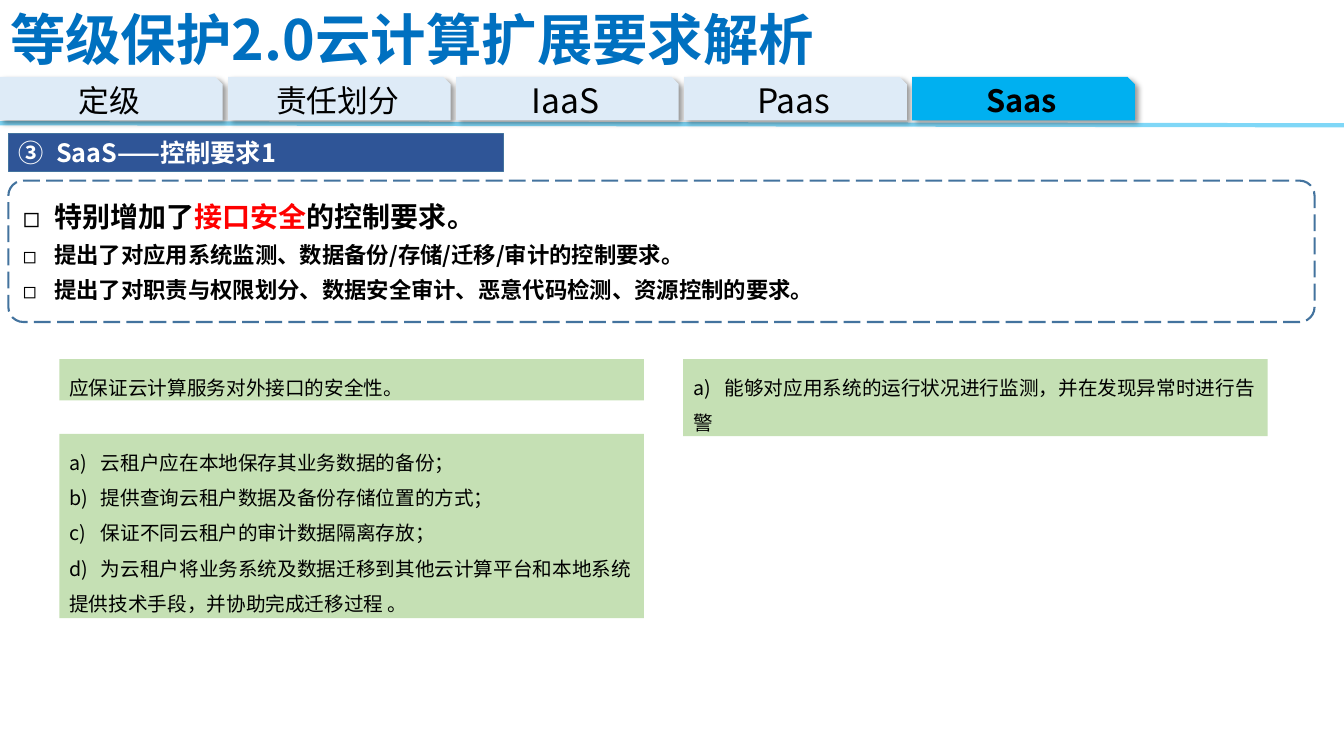
from lxml.etree import SubElement
from pptx import Presentation
from pptx.dml.color import RGBColor
from pptx.enum.shapes import MSO_CONNECTOR, MSO_SHAPE
from pptx.enum.dml import MSO_LINE
from pptx.enum.text import MSO_ANCHOR, MSO_AUTO_SIZE, PP_ALIGN
from pptx.oxml import parse_xml
from pptx.oxml.ns import nsdecls, qn
from pptx.util import Pt

FONT = "Noto Sans CJK SC"
COLORS = {"title": "0070C0", "tab": "DEEBF7", "active": "00B0F0", "heading": "2F5597",
          "outline": "43739E", "card": "C5E0B4", "text": "000000", "accent": "FF0000",
          "white": "FFFFFF"}


def add_run(p, text, size, color="text", bold=False):
    r = p.add_run()
    r.text = text
    r.font.size, r.font.bold, r.font.name = Pt(size), bold, FONT
    r.font.color.rgb = RGBColor.from_string(COLORS[color])
    SubElement(r.font._element, qn("a:ea")).set("typeface", FONT)


def add_box(kind, left, top, width, height, fill):
    """Add a filled shape without outline or shadow."""
    sp = s.shapes.add_shape(kind, Pt(left), Pt(top), Pt(width), Pt(height))
    sp.shadow.inherit = False
    sp.fill.solid()
    sp.fill.fore_color.rgb = RGBColor.from_string(COLORS[fill])
    sp.line.fill.background()
    sp.text_frame.word_wrap = True
    return sp


prs = Presentation()
prs.slide_width, prs.slide_height = Pt(960), Pt(540)
s = prs.slides.add_slide(prs.slide_layouts[1])
title, body = s.placeholders

# Rule under the tabs
rule = s.shapes.add_connector(MSO_CONNECTOR.STRAIGHT, 0, Pt(88), Pt(960), Pt(89.5))
rule.line.width = Pt(3)
rule.line.color.rgb = RGBColor.from_string(COLORS["active"])
SubElement(rule.line._ln.find(".//" + qn("a:srgbClr")), qn("a:alpha")).set("val", "50000")
SubElement(rule._element.spPr, qn("a:effectLst"))

# Title
title.left, title.top, title.width, title.height = 0, Pt(0.7), Pt(620), Pt(54)
tf = title.text_frame
tf.auto_size, tf.vertical_anchor = MSO_AUTO_SIZE.NONE, MSO_ANCHOR.MIDDLE
p = tf.paragraphs[0]
p.alignment = PP_ALIGN.JUSTIFY
add_run(p, "等级保护2.0云计算扩展要求解析", 39.6, "title", True)

# Tabs
tabs = [("定级", 22), ("责任划分", 22), ("IaaS", 24), ("Paas", 24), ("Saas", 22)]
for i, (label, size) in enumerate(tabs):
    active = label == "Saas"
    sp = add_box(MSO_SHAPE.SNIP_1_RECTANGLE, i * 162.9, 55, 159, 31,
                 "active" if active else "tab")
    sp._element.spPr.find(qn("a:effectLst")).append(parse_xml(
        f'<a:outerShdw {nsdecls("a")} blurRad="50800" dist="38100" dir="2700000" '
        'algn="tl" rotWithShape="0"><a:srgbClr val="000000"><a:alpha val="40000"/>'
        '</a:srgbClr></a:outerShdw>'))
    sp.text_frame.vertical_anchor = MSO_ANCHOR.MIDDLE
    p = sp.text_frame.paragraphs[0]
    p.alignment = PP_ALIGN.CENTER
    add_run(p, label, size, bold=active)

# Section heading
sp = add_box(MSO_SHAPE.RECTANGLE, 6, 95.5, 353.5, 27, "heading")
sp.line.color.rgb = RGBColor.from_string(COLORS["outline"])
sp.line.width = Pt(1)
sp.text_frame.vertical_anchor = MSO_ANCHOR.MIDDLE
p = sp.text_frame.paragraphs[0]
p.alignment = PP_ALIGN.JUSTIFY
pPr = p._p.get_or_add_pPr()
pPr.set("marL", str(Pt(27)))
pPr.set("indent", str(Pt(-27)))
number = SubElement(pPr, qn("a:buAutoNum"))
number.set("type", "circleNumDbPlain")
number.set("startAt", "3")
add_run(p, "SaaS——控制要求1", 18, "white", True)

# Key points in a dashed frame
body.left, body.top, body.width, body.height = Pt(6), Pt(129), Pt(933), Pt(101)
body._element.spPr.append(parse_xml(
    f'<a:prstGeom {nsdecls("a")} prst="roundRect"><a:avLst>'
    '<a:gd name="adj" fmla="val 10600"/></a:avLst></a:prstGeom>'))
body.line.color.rgb = RGBColor.from_string(COLORS["outline"])
body.line.width = Pt(1.5)
body.line.dash_style = MSO_LINE.LONG_DASH
tf = body.text_frame
tf.auto_size, tf.vertical_anchor = MSO_AUTO_SIZE.NONE, MSO_ANCHOR.MIDDLE
points = [
    (20, [("特别增加了", "text"), ("接口安全", "accent"), ("的控制要求。", "text")]),
    (16, [("提出了对应用系统监测、数据备份/存储/迁移/审计的控制要求。", "text")]),
    (16, [("提出了对职责与权限划分、数据安全审计、恶意代码检测、资源控制的要求。", "text")]),
]
for i, (size, runs) in enumerate(points):
    p = tf.add_paragraph() if i else tf.paragraphs[0]
    pPr = p._p.get_or_add_pPr()
    pPr.set("marL", str(Pt(22.5)))
    pPr.set("indent", str(Pt(-22.5)))
    SubElement(pPr, qn("a:buFont")).set("typeface", FONT)
    SubElement(pPr, qn("a:buChar")).set("char", "◻")
    p.alignment = PP_ALIGN.JUSTIFY
    p.space_before, p.space_after = Pt(0), Pt(6)
    for text, color in runs:
        add_run(p, text, size, color, True)

# Requirement cards
cards = [
    (42.5, 256.5, 29.5, ["应保证云计算服务对外接口的安全性。"]),
    (42.5, 310, 131.5, [
        "a)\t云租户应在本地保存其业务数据的备份；",
        "b)\t提供查询云租户数据及备份存储位置的方式；",
        "c)\t保证不同云租户的审计数据隔离存放；",
        "d)\t为云租户将业务系统及数据迁移到其他云计算平台和本地系统提供技术手段，并协助完成迁移过程 。"]),
    (488, 256.5, 55, ["a)\t能够对应用系统的运行状况进行监测，并在发现异常时进行告警"]),
]
for left, top, height, lines in cards:
    sp = add_box(MSO_SHAPE.RECTANGLE, left, top, 417.5, height, "card")
    tf = sp.text_frame
    tf.auto_size, tf.vertical_anchor = MSO_AUTO_SIZE.SHAPE_TO_FIT_TEXT, MSO_ANCHOR.TOP
    for i, text in enumerate(lines):
        p = tf.add_paragraph() if i else tf.paragraphs[0]
        tab_list = SubElement(p._p.get_or_add_pPr(), qn("a:tabLst"))
        stop = SubElement(tab_list, qn("a:tab"))
        stop.set("pos", str(Pt(22.5)))
        stop.set("algn", "l")
        p.alignment, p.line_spacing = PP_ALIGN.LEFT, 1.5
        add_run(p, text, 14)

prs.save("out.pptx")
